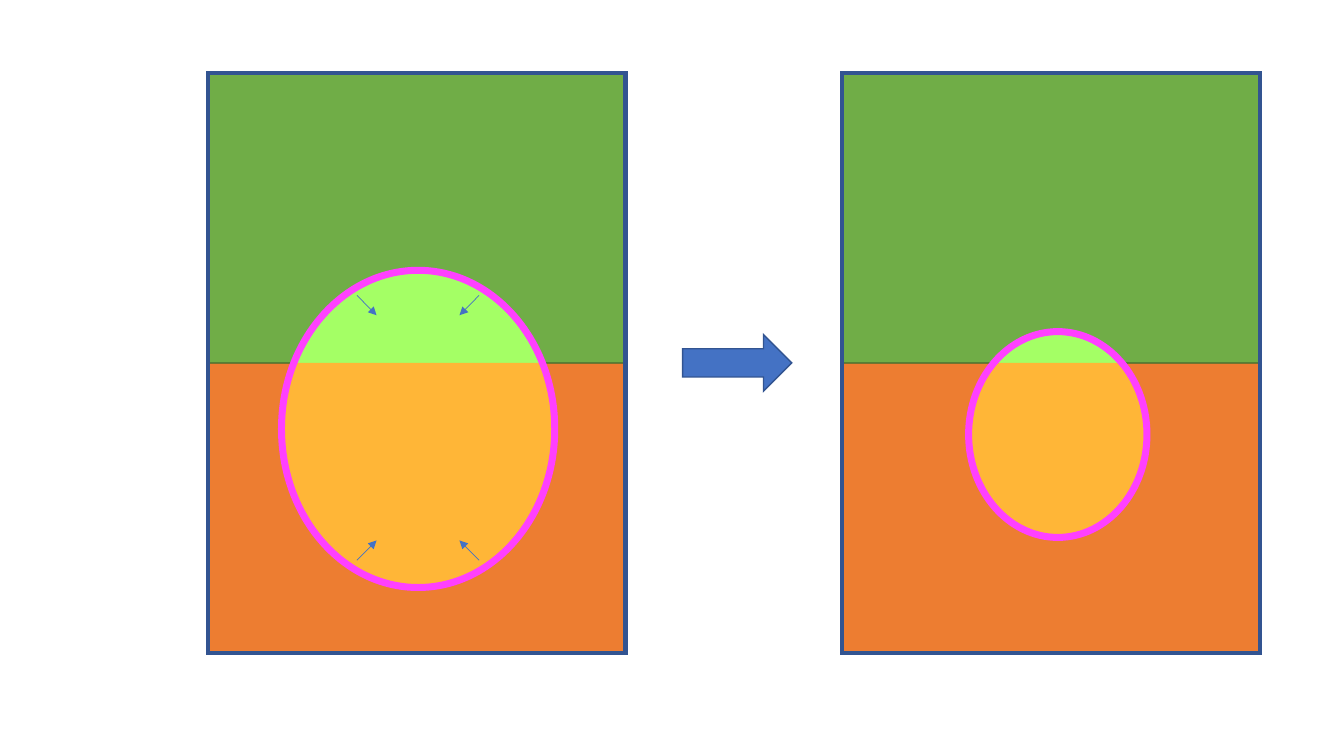
from dataclasses import dataclass
from itertools import product
from math import asin, cos, pi, sin, tan
from typing import List, Optional, Tuple

from lxml.etree import Element, SubElement
from pptx import Presentation
from pptx.dml.color import RGBColor
from pptx.enum.shapes import MSO_CONNECTOR, MSO_SHAPE
from pptx.oxml.ns import qn
from pptx.util import Pt


@dataclass(frozen=True)
class Theme:
    green: str = "70AD47"
    moss: str = "538035"
    orange: str = "ED7D31"
    rust: str = "AF5C24"
    lime: str = "A4FF65"
    amber: str = "FFB637"
    pink: str = "FF40FF"
    blue: str = "4472C4"
    navy: str = "325491"
    hair: float = 0.5
    thin: float = 1
    frame: float = 3
    ring: float = 5


Dot = Tuple[float, float]


@dataclass(frozen=True)
class Box:
    left: float
    top: float
    width: float
    height: float


@dataclass(frozen=True)
class Step:
    """A straight step to a dot, or a curved one if it has two guides."""
    dot: Dot
    guides: Tuple[Dot, ...] = ()


@dataclass(frozen=True)
class Drop:
    mid_x: float
    mid_y: float
    rad_x: float
    rad_y: float

    def place(self, turn: float, out: float = 0) -> Dot:
        """Dot on the rim, moved along the tangent by out."""
        return (self.mid_x + self.rad_x * (cos(turn) - out * sin(turn)),
                self.mid_y + self.rad_y * (sin(turn) + out * cos(turn)))

    def arcs(self, *turns: float) -> List[Step]:
        steps = [Step(self.place(turns[0]))]
        for start, end in zip(turns, turns[1:]):
            pull = 4 / 3 * tan((end - start) / 4)
            steps.append(Step(self.place(end), (self.place(start, pull),
                                                self.place(end, -pull))))
        return steps


@dataclass(frozen=True)
class Panel:
    left: float
    drop: Drop
    shift: float


THEME = Theme()
TOP, WIDTH, HALF = 52, 298.3, 207.2
SEAM = TOP + HALF
BIG = Drop(297.9, 306.4, 97.6, 113.3)
SMALL = Drop(755.6, 310.4, 63.7, 73.5)
FIRST = Panel(148.6, BIG, 0.8)
SECOND = Panel(601.7, SMALL, 0)

deck = Presentation()
deck.slide_width, deck.slide_height = Pt(960), Pt(540)
slide = deck.slides.add_slide(deck.slide_layouts[6])
shapes = slide.shapes


def paint(shape, fill: Optional[str], line: Optional[str],
          weight: float) -> None:
    shape.shadow.inherit = False
    if fill:
        shape.fill.solid()
        shape.fill.fore_color.rgb = RGBColor.from_string(fill)
    else:
        shape.fill.background()
    if line:
        shape.line.color.rgb = RGBColor.from_string(line)
        shape.line.width = Pt(weight)
        SubElement(shape.line._get_or_add_ln(), qn("a:miter"), lim="800000")
    else:
        shape.line.fill.background()


def add_box(kind: MSO_SHAPE, box: Box, fill: Optional[str], line: str,
            weight: float = THEME.thin) -> None:
    shape = shapes.add_shape(kind, Pt(box.left), Pt(box.top),
                             Pt(box.width), Pt(box.height))
    paint(shape, fill, line, weight)


def add_form(steps: List[Step], fill: Optional[str],
             line: Optional[str] = None, weight: float = THEME.thin) -> None:
    """Draw a closed outline of straight and curved steps."""
    dots = [(Pt(x), Pt(y)) for x, y in (step.dot for step in steps)]
    form = shapes.build_freeform(*dots[0])
    form.add_line_segments(dots[1:], close=True)
    shape = form.convert_to_shape()
    legs = list(shape._element.spPr.iter(qn("a:lnTo")))
    for leg, step in zip(legs, steps[1:]):
        if not step.guides:
            continue
        curve = Element(qn("a:cubicBezTo"))
        for x, y in (*step.guides, step.dot):
            SubElement(curve, qn("a:pt"), x=str(Pt(x) - shape.left),
                       y=str(Pt(y) - shape.top))
        leg.getparent().replace(leg, curve)
    paint(shape, fill, line, weight)


def add_panel(panel: Panel) -> None:
    left, right, drop = panel.left, panel.left + WIDTH, panel.drop
    turn = asin((SEAM - drop.mid_y) / drop.rad_y)
    cap = drop.arcs(turn, -pi / 2, -pi - turn)
    # Lower layer, cap of the drop and upper layer around it
    add_box(MSO_SHAPE.RECTANGLE, Box(left, SEAM, WIDTH, HALF),
            THEME.orange, THEME.rust)
    add_form(cap, THEME.lime)
    crown = [Step((left, TOP)), Step((right, TOP)), Step((right, SEAM))]
    add_form([*crown, *cap, Step((left, SEAM))], THEME.green, THEME.moss)
    # Bowl of the drop
    add_form(drop.arcs(turn, 0, pi / 2, pi, pi - turn), THEME.amber)
    # Frame and ring
    add_box(MSO_SHAPE.RECTANGLE, Box(left, TOP, WIDTH, 2 * HALF),
            None, THEME.navy, THEME.frame)
    ring = Drop(drop.mid_x + panel.shift, drop.mid_y, drop.rad_x, drop.rad_y)
    add_form(ring.arcs(*(pi / 2 * i for i in range(-1, 4))),
             None, THEME.pink, THEME.ring)


def add_arrow(drop: Drop, side: int, rise: int) -> None:
    """Point from the ring toward the centre of the drop."""
    x, y = drop.mid_x + 0.7, drop.mid_y - 0.8
    arrow = shapes.add_connector(
        MSO_CONNECTOR.STRAIGHT,
        Pt(x + side * 43.6), Pt(y + rise * 94.6),
        Pt(x + side * 29.6), Pt(y + rise * 80.4))
    arrow.line.color.rgb = RGBColor.from_string(THEME.blue)
    arrow.line.width = Pt(THEME.hair)
    SubElement(arrow.line._get_or_add_ln(), qn("a:tailEnd"), type="triangle")
    SubElement(arrow._element.spPr, qn("a:effectLst"))


# Step between the panels
add_box(MSO_SHAPE.RIGHT_ARROW, Box(487.6, 239, 78, 40.4),
        THEME.blue, THEME.navy)

# Before, with the big drop shrinking
add_panel(FIRST)
for rise, side in product((-1, 1), repeat=2):
    add_arrow(BIG, side, rise)

# After
add_panel(SECOND)

deck.save("out.pptx")
